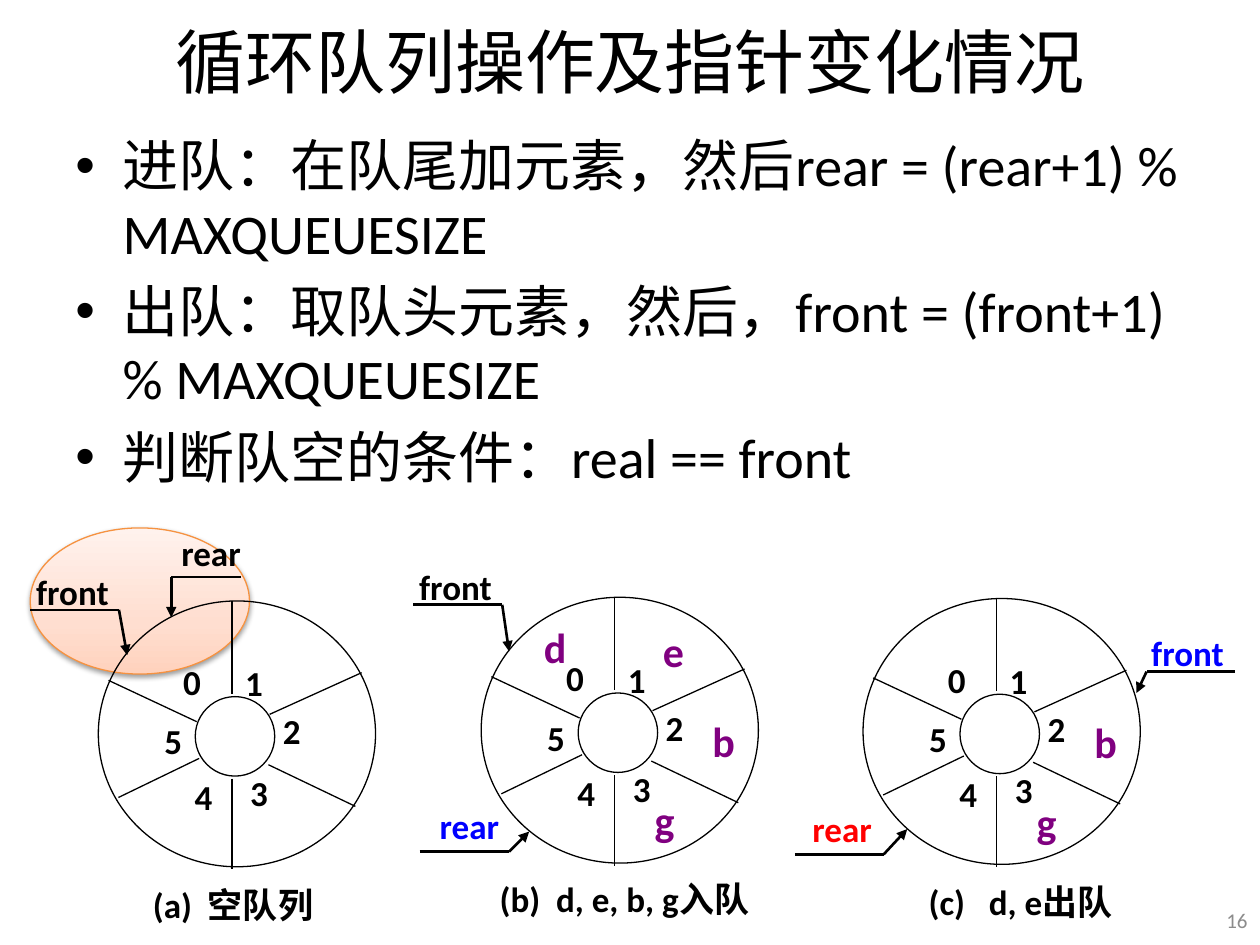
from itertools import pairwise

from lxml.etree import SubElement
from pptx import Presentation
from pptx.dml.color import RGBColor
from pptx.enum.shapes import MSO_CONNECTOR, MSO_SHAPE
from pptx.enum.text import MSO_ANCHOR as ANCHOR, PP_ALIGN as ALIGN
from pptx.oxml import parse_xml
from pptx.oxml.ns import nsdecls, qn
from pptx.util import Pt

COLORS = {"black": "000000", "gray": "8C8C8C", "blue": "0000FF", "red": "FF0000",
          "purple": "800080", "orange": "F69240"}
GLOW_STOPS = [(0, "FFD2BD"), (35, "FFDED0"), (100, "FFF2ED")]

# Positions below are relative to the top left corner of a ring.
RING_SIZE = (158.4, 151.9)
HUB = (55.4, 54.7, 45.4, 45.4)
SPOKES = [(76.3, 0, 76.3, 53), (76.3, 101.5, 76.3, 153.4), (97.9, 64.8, 150.5, 41),
          (11.5, 112.3, 57.6, 90), (97.2, 93.6, 146.9, 117.4), (5.8, 45.4, 56.2, 69)]
SLOT_NUMBERS = {"0": (53.6, 46), "1": (88.9, 46.8), "2": (110.5, 74.2),
                "3": (91.8, 109.4), "4": (60.1, 111.6), "5": (42.8, 79.9)}
ELEMENTS = {"d": (42.2, 28.4), "e": (109.8, 30.6), "b": (138.6, 82), "g": (104.8, 127.3)}

BULLETS = ["进队：在队尾加元素，然后rear = (rear+1) % MAXQUEUESIZE",
           "出队：取队头元素，然后，front = (front+1) % MAXQUEUESIZE",
           "判断队空的条件：real == front"]

# Each pointer: name, colour, label centre, bent leader ending in an arrowhead.
QUEUES = [
    {"origin": (56.2, 343.4), "elements": "",
     "caption": ("(a)  空队列", (133.2, 516.6)),
     "pointers": [
         ("front", "black", (41.4, 338), [(17.3, 348.5), (68, 348.5), (72.7, 374.4)]),
         ("rear", "black", (120.6, 315.7), [(137.5, 329.8), (97.9, 329.8), (97.9, 352.8)])]},
    {"origin": (275, 341.3), "elements": "debg",
     "caption": ("(b)  d, e, b, g入队", (356.8, 513.7)),
     "pointers": [
         ("front", "black", (260.3, 335.2), [(236.2, 345.6), (287, 345.6), (290.9, 372.2)]),
         ("rear", "blue", (268.2, 472), [(239.8, 486.7), (290.9, 486.7), (302.4, 475.2)])]},
    {"origin": (493.2, 342), "elements": "bg",
     "caption": ("(c)   d, e出队", (583.2, 515.2)),
     "pointers": [
         ("front", "blue", (678.6, 372.6), [(705.6, 383.8), (655.2, 383.8), (649.4, 396)]),
         ("rear", "red", (481.3, 473.4), [(454.3, 488.2), (505, 488.2), (518.4, 473.8)])]},
]


def rgb(name):
    return RGBColor.from_string(COLORS[name])


def format_paragraph(paragraph, text, *, size, color="black", bold=False,
                     align=ALIGN.LEFT, font="Calibri"):
    paragraph.alignment = align
    run = paragraph.add_run()
    run.text = text
    run.font.name = font
    run.font.size = Pt(size)
    run.font.bold = bold
    run.font.color.rgb = rgb(color)


class QueueSlide:
    def __init__(self, slide, thin=0.75, thick=1.5):
        self.slide = slide
        self.thin = thin
        self.thick = thick

    def text_frame(self, left, top, width, height, wrap=True, anchor=ANCHOR.MIDDLE):
        box = self.slide.shapes.add_textbox(Pt(left), Pt(top), Pt(width), Pt(height))
        frame = box.text_frame
        frame.word_wrap = wrap
        frame.vertical_anchor = anchor
        return frame

    def label(self, text, center, size=20, color="black"):
        """Put bold text around a centre point, in a box wide enough for one line."""
        width, height = 16 + 14 * len(text), 28
        frame = self.text_frame(center[0] - width / 2, center[1] - height / 2,
                                width, height, wrap=False)
        frame.margin_left = frame.margin_right = 0
        format_paragraph(frame.paragraphs[0], text, size=size, color=color,
                         bold=True, align=ALIGN.CENTER)

    def bullets(self, box, items, size, indent):
        frame = self.text_frame(*box, anchor=ANCHOR.TOP)
        for index, item in enumerate(items):
            paragraph = frame.add_paragraph() if index else frame.paragraphs[0]
            format_paragraph(paragraph, item, size=size)
            paragraph.space_before = Pt(size * 0.2)
            properties = paragraph._p.get_or_add_pPr()
            properties.set("marL", str(Pt(indent)))
            properties.set("indent", str(Pt(-indent)))
            SubElement(properties, qn("a:buFont"), typeface="Arial")
            SubElement(properties, qn("a:buChar"), char="•")

    def ellipse(self, left, top, width, height, color="black", kind=MSO_SHAPE.OVAL):
        shape = self.slide.shapes.add_shape(kind, Pt(left), Pt(top), Pt(width), Pt(height))
        shape.shadow.inherit = False
        shape.fill.background()
        shape.line.color.rgb = rgb(color)
        shape.line.width = Pt(self.thin)
        return shape

    def glow(self, left, top, width, height):
        """Draw the highlight with a three-stop gradient and a soft shadow."""
        shape = self.ellipse(left, top, width, height, "orange", MSO_SHAPE.FLOWCHART_CONNECTOR)
        stops = "".join(f'<a:gs pos="{position * 1000}"><a:srgbClr val="{color}"/></a:gs>'
                        for position, color in GLOW_STOPS)
        gradient = parse_xml(f'<a:gradFill {nsdecls("a")} rotWithShape="1"><a:gsLst>{stops}'
                             '</a:gsLst><a:lin ang="16200000" scaled="1"/></a:gradFill>')
        properties = shape._element.spPr
        properties.replace(properties.find(qn("a:noFill")), gradient)
        properties.find(qn("a:effectLst")).append(parse_xml(
            f'<a:outerShdw {nsdecls("a")} blurRad="{Pt(3.1)}" dist="{Pt(1.6)}" dir="5400000" '
            'rotWithShape="0"><a:srgbClr val="000000"><a:alpha val="38000"/></a:srgbClr>'
            '</a:outerShdw>'))

    def line(self, start, end, width, arrow=False):
        connector = self.slide.shapes.add_connector(
            MSO_CONNECTOR.STRAIGHT, *(Pt(value) for value in (*start, *end)))
        connector.line.color.rgb = rgb("black")
        connector.line.width = Pt(width)
        if arrow:
            SubElement(connector.line._get_or_add_ln(), qn("a:tailEnd"), type="triangle")
        SubElement(connector._element.spPr, qn("a:effectLst"))

    def leader(self, points):
        segments = list(pairwise(points))
        for start, end in segments:
            self.line(start, end, self.thick, arrow=(start, end) == segments[-1])

    def queue(self, origin, elements, caption, pointers):
        x, y = origin
        self.ellipse(x + HUB[0], y + HUB[1], *HUB[2:])
        self.ellipse(x, y, *RING_SIZE)
        for x1, y1, x2, y2 in SPOKES:
            self.line((x + x1, y + y1), (x + x2, y + y2), self.thin)
        for number, (dx, dy) in SLOT_NUMBERS.items():
            self.label(number, (x + dx, y + dy))
        for element in elements:
            dx, dy = ELEMENTS[element]
            self.label(element, (x + dx, y + dy), size=24, color="purple")
        self.label(*caption)
        for name, color, center, points in pointers:
            self.label(name, center, color=color)
            self.leader(points)


def main():
    presentation = Presentation()
    presentation.slide_width, presentation.slide_height = Pt(720), Pt(540)
    page = QueueSlide(presentation.slides.add_slide(presentation.slide_layouts[6]))

    title = page.text_frame(36, -2, 648, 73.4)
    format_paragraph(title.paragraphs[0], "循环队列操作及指针变化情况", size=40, align=ALIGN.CENTER)
    page.bullets((36, 71.3, 648, 459), BULLETS, size=32, indent=27)
    number = page.text_frame(689, 511.2, 31, 28.8)
    format_paragraph(number.paragraphs[0], "16", size=12, color="gray", align=ALIGN.RIGHT)

    page.glow(17.3, 301.7, 125.3, 83.5)
    for queue in QUEUES:
        page.queue(**queue)
    presentation.save("out.pptx")


if __name__ == "__main__":
    main()
